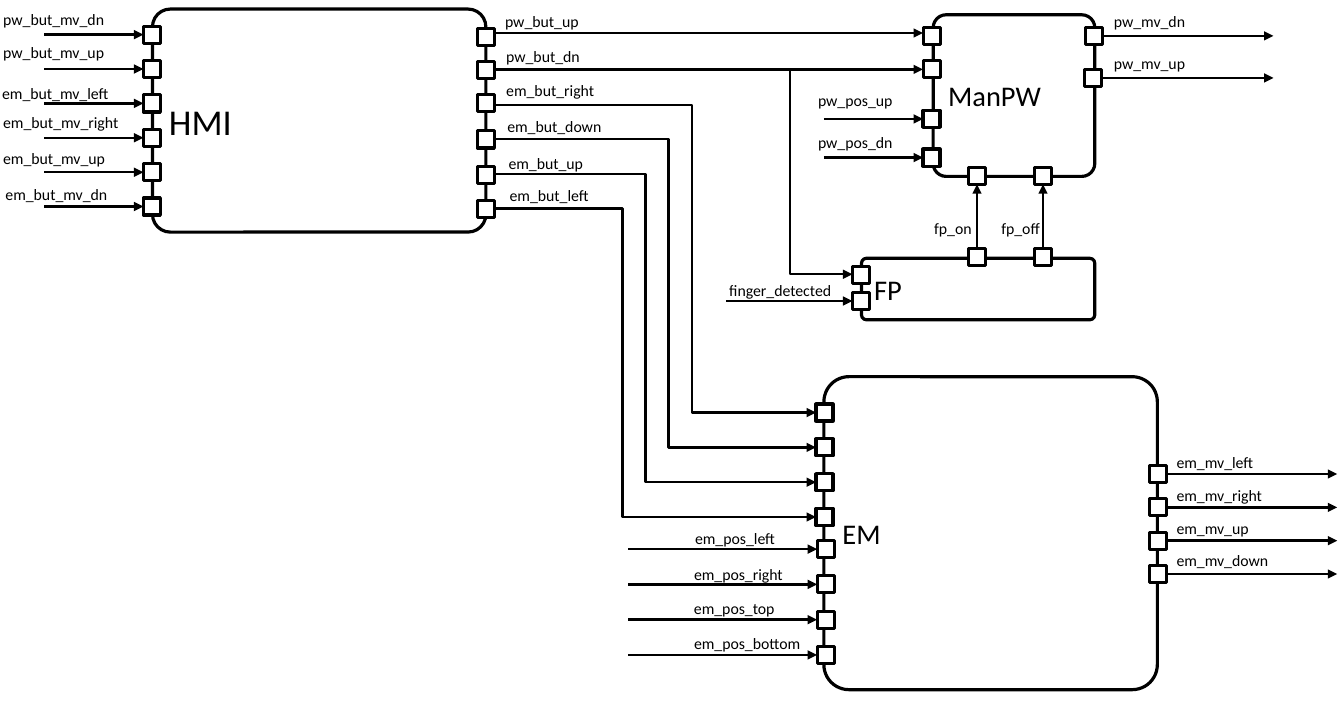
from dataclasses import dataclass
from typing import Optional

from lxml.etree import SubElement as add_sub
from pptx import Presentation
from pptx.dml.color import RGBColor as Rgb
from pptx.enum.shapes import MSO_CONNECTOR as Conn, MSO_SHAPE as Form
from pptx.enum.text import MSO_AUTO_SIZE as Fit
from pptx.oxml.ns import qn
from pptx.shapes.autoshape import Shape
from pptx.shapes.shapetree import SlideShapes as Tree
from pptx.text.text import TextFrame as Frame
from pptx.util import Emu, Inches, Pt

# The slide is a grid of square cells; every length below counts cells.
COLS, ROWS = 1181, 630
CELL = Inches(0.01)
PORT, HALF = 15, 7.5
TALL = 27
FONT = "Calibri"
HUES = {"ink": "000000", "paper": "FFFFFF"}


@dataclass(frozen=True)
class Block:
    """A named component with rounded corners."""
    name: str
    col: float
    row: float
    wide: float
    high: float
    size: int = 18


@dataclass(frozen=True)
class Bank:
    """Ports in one column, with optional stubs from or to column `far`."""
    col: float
    rows: list[float]
    far: Optional[float] = None


@dataclass(frozen=True)
class Wire:
    """An arrow; with `turn` it bends at that column."""
    col: float
    row: float
    to_col: float
    to_row: float
    turn: Optional[float] = None


@dataclass(frozen=True)
class Label:
    """A signal name."""
    text: str
    col: float
    row: float
    wide: float


def grid(count: float) -> Emu:
    """Turn a count of cells into a length."""
    return Emu(round(count * CELL))


def span(first: float, step: float, count: int) -> list[float]:
    """Give evenly spaced positions."""
    return [first + step * i for i in range(count)]


def hue(name: str) -> Rgb:
    """Look up a colour."""
    return Rgb.from_string(HUES[name])


def style(frame: Frame, size: int) -> None:
    """Format all runs of a text frame."""
    for para in frame.paragraphs:
        for run in para.runs:
            run.font.name = FONT
            run.font.size = Pt(size)
            run.font.color.rgb = hue("ink")


def draw_box(tree: Tree, form: Form, col: float, row: float,
             wide: float, high: float) -> Shape:
    """Draw a white shape with a black outline."""
    box = tree.add_shape(form, grid(col), grid(row), grid(wide), grid(high))
    box.shadow.inherit = False
    box.fill.solid()
    box.fill.fore_color.rgb = hue("paper")
    box.line.color.rgb = hue("ink")
    box.line.width = Pt(2)
    return box


def draw_block(tree: Tree, block: Block) -> None:
    """Draw a component and its name."""
    box = draw_box(tree, Form.ROUNDED_RECTANGLE, block.col, block.row,
                   block.wide, block.high)
    box.adjustments[0] = 0.08
    box.text_frame.text = block.name
    style(box.text_frame, block.size)


def draw_wire(tree: Tree, wire: Wire) -> None:
    """Draw a straight or bent arrow."""
    kind = Conn.STRAIGHT if wire.turn is None else Conn.ELBOW
    line = tree.add_connector(kind, grid(wire.col), grid(wire.row),
                              grid(wire.to_col), grid(wire.to_row))
    line.line.color.rgb = hue("ink")
    line.line.width = Pt(1.5)
    props = line.element.spPr
    if wire.turn is not None:
        share = (wire.turn - wire.col) / (wire.to_col - wire.col)
        guides = props.find(qn("a:prstGeom")).find(qn("a:avLst"))
        add_sub(guides, qn("a:gd"), name="adj1",
                fmla=f"val {round(share * 100000)}")
    add_sub(props.find(qn("a:ln")), qn("a:tailEnd"), type="triangle")
    add_sub(props, qn("a:effectLst"))


def draw_bank(tree: Tree, bank: Bank) -> None:
    """Draw the ports of a bank and their stubs."""
    for row in bank.rows:
        mid = row + HALF
        if bank.far is not None:
            ends = ((bank.far, bank.col) if bank.far < bank.col
                    else (bank.col + PORT, bank.far))
            draw_wire(tree, Wire(ends[0], mid, ends[1], mid))
        draw_box(tree, Form.RECTANGLE, bank.col, row, PORT, PORT)


def draw_label(tree: Tree, label: Label) -> None:
    """Write a signal name."""
    box = tree.add_textbox(grid(label.col), grid(label.row),
                           grid(label.wide), grid(TALL))
    frame = box.text_frame
    frame.word_wrap = False
    frame.auto_size = Fit.SHAPE_TO_FIT_TEXT
    frame.text = label.text
    style(frame, 10)


BLOCKS = [Block("FP", 757, 227, 205, 54), Block("ManPW", 820, 13, 142, 142),
          Block("EM", 724, 331, 293, 275), Block("HMI", 134, 8, 293, 196, 23)]

EM_BUT = span(355, 30.6, 4)
BANKS = [
    Bank(126, span(23, 30.2, 6), 39), Bank(419.5, [25, 54, 83, 115, 146, 176]),
    Bank(811.5, [24, 53]), Bank(811, [97, 131], 724),
    Bank(954, [24], 1119), Bank(953, [61], 1119),
    Bank(749, [234]), Bank(749, [257], 638),
    Bank(851, [147, 218]), Bank(909, [147, 218]),
    Bank(717, EM_BUT), Bank(718, span(475, 31, 4), 552),
    Bank(1010, span(409, 29.3, 4), 1175),
]

WIRES = [Wire(434, 29, 811, 29), Wire(434, 61, 811, 61),
         Wire(694, 61, 749, 241, 694),
         *(Wire(col + HALF, 218, col + HALF, 162) for col in (851, 909)),
         *(Wire(434.5, row, 717, end + HALF, turn) for row, end, turn
           in zip(span(92, 30.4, 4), EM_BUT, span(608, -20.4, 4)))]

LABELS = [
    Label("pw_but_mv_dn", -7, 4, 112), Label("pw_but_mv_up", -7, 33, 112),
    Label("em_but_mv_left", -8, 69, 118), Label("em_but_mv_right", -7, 94, 126),
    Label("em_but_mv_up", -7, 126, 113), Label("em_but_mv_dn", -5, 157, 113),
    Label("pw_but_up", 434, 5, 86), Label("pw_but_dn", 435, 36, 86),
    Label("em_but_right", 435, 66, 101), Label("em_but_down", 436, 98, 106),
    Label("em_but_up", 437, 130, 88), Label("em_but_left", 438, 158, 93),
    Label("pw_pos_up", 709, 75, 87), Label("pw_pos_dn", 709, 112, 87),
    Label("pw_mv_dn", 969, 5, 84), Label("pw_mv_up", 969, 42, 84),
    Label("fp_on", 811, 187, 55), Label("fp_off", 870, 187, 55),
    Label("finger_detected", 631, 242, 114),
    Label("em_pos_left", 601, 460, 93), Label("em_pos_right", 600, 491, 101),
    Label("em_pos_top", 600, 521, 94), Label("em_pos_bottom", 600, 552, 118),
    Label("em_mv_left", 1024, 393, 91), Label("em_mv_right", 1024, 422, 99),
    Label("em_mv_up", 1024, 451, 86), Label("em_mv_down", 1024, 479, 104),
]


def main() -> None:
    """Build and save the slide."""
    deck = Presentation()
    deck.slide_width, deck.slide_height = grid(COLS), grid(ROWS)
    tree = deck.slides.add_slide(deck.slide_layouts[6]).shapes
    for items, draw in ((BLOCKS, draw_block), (WIRES, draw_wire),
                        (BANKS, draw_bank), (LABELS, draw_label)):
        for item in items:
            draw(tree, item)
    deck.save("out.pptx")


main()
